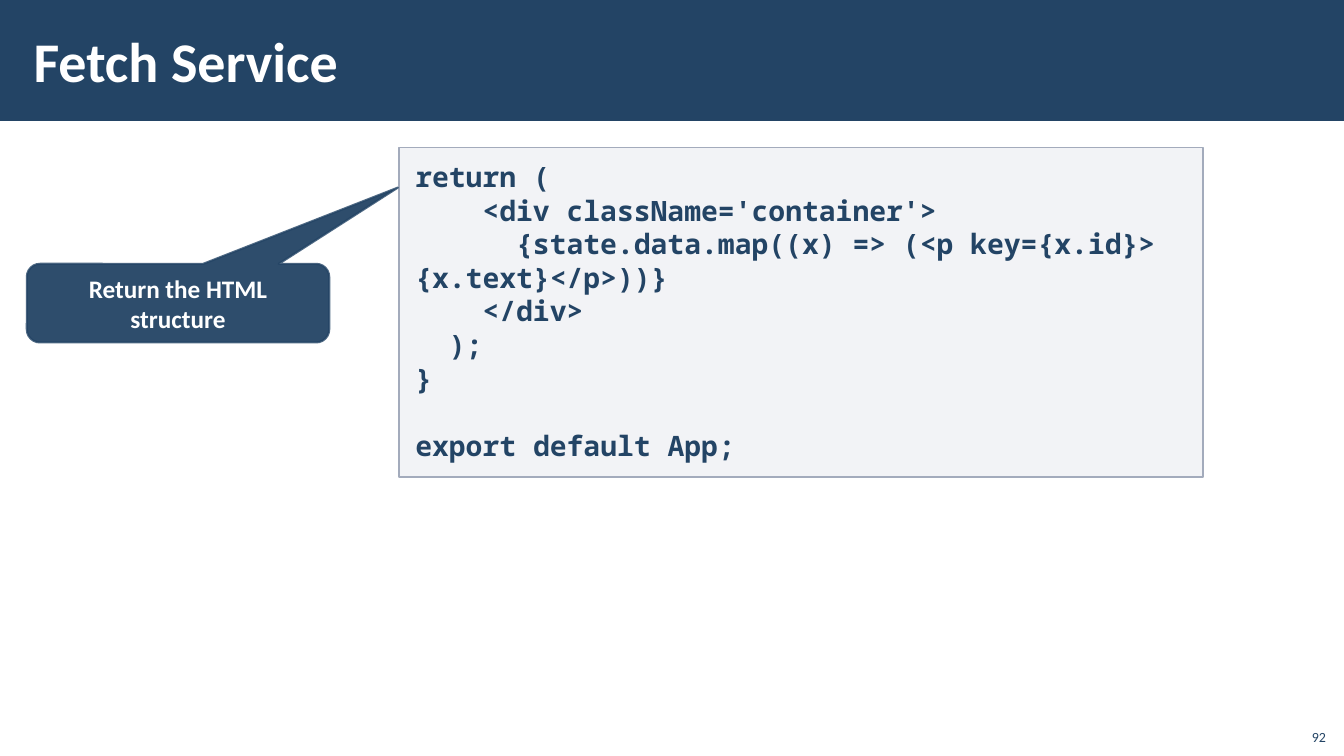
from pptx import Presentation
from pptx.dml.color import RGBColor
from pptx.enum.shapes import MSO_SHAPE as Shape
from pptx.enum.text import MSO_ANCHOR as Anchor, PP_ALIGN as Align
from pptx.oxml.ns import qn
from pptx.util import Inches, Pt
from lxml.etree import SubElement

NAVY = RGBColor(0x23, 0x44, 0x65)
WHITE = RGBColor(0xFF, 0xFF, 0xFF)
PALE = RGBColor(0xC2, 0xC7, 0xD2)
EDGE = RGBColor(0xA3, 0xAB, 0xBC)
SANS, MONO = "Calibri", "Noto Sans Mono"
WIDE, HIGH = Inches(13.33), Inches(7.5)
CHAR = Pt(12)  # width of one code character

# Indent in characters, blank lines above, text
CODE = [
    (0, 0, "return ("),
    (4, 0, "<div className='container'>"),
    (6, 0, "{state.data.map((x) => (<p key={x.id}> {x.text}</p>))}"),
    (4, 0, "</div>"),
    (2, 0, ");"),
    (0, 0, "}"),
    (0, 1, "export default App;"),
]


def share(x, y, w, h):
    """Turn shares of the slide's size into a box of lengths."""
    return int(x * WIDE), int(y * HIGH), int(w * WIDE), int(h * HIGH)


def style(para, size, color, name=SANS, bold=True):
    font = para.font
    font.name, font.size, font.bold = name, Pt(size), bold
    font.color.rgb = color


def inset(frame, side, top):
    frame.margin_left = frame.margin_right = Inches(side)
    frame.margin_top = frame.margin_bottom = Inches(top)


def fade(fill, percent):
    """Set the opacity of a solid fill."""
    color = fill._xPr.find(qn("a:solidFill"))[0]
    SubElement(color, qn("a:alpha")).set("val", str(percent * 1000))


def panel(slide, kind, box, fill, opaque=100, line=None, width=1):
    shape = slide.shapes.add_shape(kind, *box)
    shape.shadow.inherit = False
    shape.fill.solid()
    shape.fill.fore_color.rgb = fill
    fade(shape.fill, opaque)
    if line is None:
        shape.line.fill.background()
    else:
        shape.line.color.rgb = line
        shape.line.width = Pt(width)
    return shape


def header(slide, box, text):
    bar = panel(slide, Shape.RECTANGLE, box, NAVY)
    slide.shapes._spTree.insert(2, bar._element)  # behind the title
    x, y, w, h = box
    title = slide.shapes.title
    title.left, title.top = int(x + w * 0.016), int(y + h * 0.09)
    title.width, title.height = int(w * 0.8), int(h * 0.81)
    frame = title.text_frame
    frame.text = text
    frame.vertical_anchor = Anchor.MIDDLE
    inset(frame, 0.12, 0.04)
    para = frame.paragraphs[0]
    para.alignment = Align.LEFT
    style(para, 40, WHITE)


def listing(slide, box, lines):
    shape = panel(slide, Shape.RECTANGLE, box, PALE, 20, EDGE)
    frame = shape.text_frame
    frame.word_wrap = True
    frame.vertical_anchor = Anchor.TOP
    inset(frame, 0.16, 0.12)
    frame.text = "\n".join(text for _, _, text in lines)
    for para, (indent, gap, _) in zip(frame.paragraphs, lines):
        para.alignment = Align.LEFT
        para.space_before = Pt(24 * gap)
        props = para._p.get_or_add_pPr()
        props.set("marL", "0")
        props.set("indent", str(indent * CHAR))
        style(para, 20, NAVY, MONO)


def callout(slide, box, text):
    shape = panel(slide, Shape.ROUNDED_RECTANGULAR_CALLOUT, box,
                  NAVY, 95, NAVY, 1.5)
    fade(shape.line.fill, 80)
    for i, value in enumerate((0.727, -1.47, 0.167)):
        shape.adjustments[i] = value
    frame = shape.text_frame
    frame.word_wrap = True
    frame.vertical_anchor = Anchor.MIDDLE
    frame.text = text
    para = frame.paragraphs[0]
    para.alignment = Align.CENTER
    style(para, 18, WHITE)


def number(slide, box, text):
    frame = slide.shapes.add_textbox(*box).text_frame
    frame.word_wrap = True
    frame.vertical_anchor = Anchor.BOTTOM
    frame.text = text
    para = frame.paragraphs[0]
    para.alignment = Align.RIGHT
    style(para, 10, NAVY, bold=False)


def main():
    deck = Presentation()
    deck.slide_width, deck.slide_height = WIDE, HIGH
    slide = deck.slides.add_slide(deck.slide_layouts[5])
    header(slide, share(0, 0, 1, 0.16), "Fetch Service")
    listing(slide, share(0.297, 0.195, 0.598, 0.436), CODE)
    callout(slide, share(0.02, 0.349, 0.225, 0.104),
            "Return the HTML structure")
    number(slide, share(0.964, 0.949, 0.03, 0.043), "92")
    deck.save("out.pptx")


if __name__ == "__main__":
    main()
